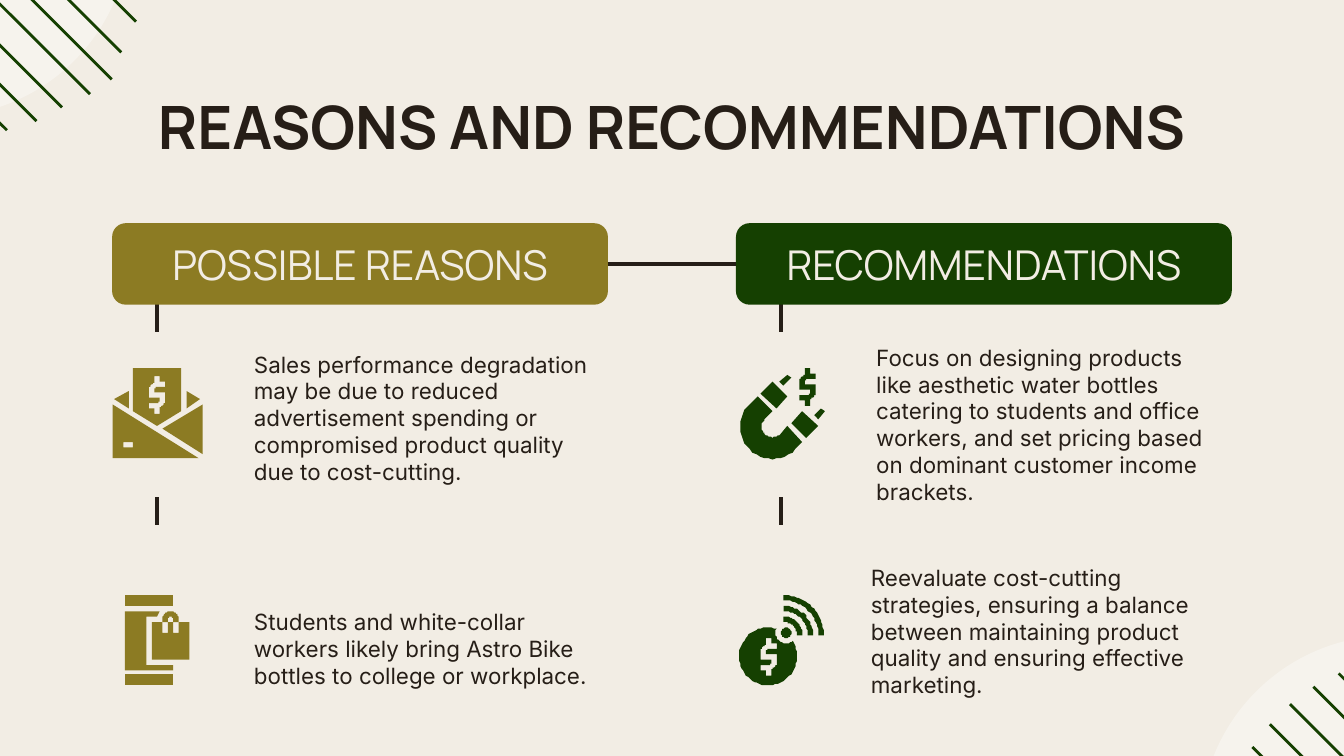
"""Build the "Reasons and recommendations" slide."""
from dataclasses import dataclass
from math import cos, radians, sin

from lxml.etree import SubElement
from pptx import Presentation
from pptx.dml.color import RGBColor
from pptx.enum.shapes import MSO_CONNECTOR, MSO_SHAPE
from pptx.enum.text import MSO_ANCHOR, PP_ALIGN
from pptx.oxml.ns import qn
from pptx.util import Cm, Pt


@dataclass(frozen=True)
class Theme:
    cream: str = "F2EDE4"
    white: str = "FFFFFF"
    ink: str = "261E17"
    olive: str = "8C7B23"
    green: str = "154001"
    heading: str = "Manrope"
    body: str = "Inter"
    title_size: int = 32
    header_size: int = 22
    body_size: int = 12


UNIT = 0.0254


def arc(cx, cy, radius, start, end, steps=24):
    angles = [radians(start + (end - start) * i / steps) for i in range(steps + 1)]
    return [(cx + radius * cos(a), cy + radius * sin(a)) for a in angles]


def rect(x, y, w, h):
    return [(x, y), (x + w, y), (x + w, y + h), (x, y + h)]


def dollar(x, y):
    points = [(8, 0), (4, 0), *arc(5, 10, 5, 260, 180), (0, 16), (8, 16),
              *arc(6, 18, 2, 0, 90), (0, 20), (0, 24), (4, 24), (4, 28), (8, 28),
              *arc(7, 18, 5, 80, 0), (12, 12), (4, 12),
              *arc(6, 10, 2, 180, 270), (12, 8), (12, 4), (8, 4)]
    return [(x + px, y + py) for px, py in points]


def write(tf, text, font, size, color, bold=False, align=PP_ALIGN.LEFT, anchor=MSO_ANCHOR.TOP):
    tf.word_wrap = True
    tf.vertical_anchor = anchor
    tf.margin_left = tf.margin_right = tf.margin_top = tf.margin_bottom = Cm(0.25)
    p = tf.paragraphs[0]
    p.alignment = align
    r = p.add_run()
    r.text = text
    r.font.name, r.font.size, r.font.bold = font, Pt(size), bold
    r.font.color.rgb = RGBColor.from_string(color)


class Deck:
    def __init__(self, theme):
        self.theme = theme
        self.prs = Presentation()
        self.prs.slide_width, self.prs.slide_height = Cm(25.4), Cm(14.29)
        self.s = self.prs.slides.add_slide(self.prs.slide_layouts[6])
        fill = self.s.background.fill
        fill.solid()
        fill.fore_color.rgb = RGBColor.from_string(theme.cream)

    def paint(self, sp, color):
        sp.shadow.inherit = False
        sp.fill.solid()
        sp.fill.fore_color.rgb = RGBColor.from_string(color)
        sp.line.fill.background()
        return sp

    def shape(self, kind, x, y, w, h, color):
        return self.paint(self.s.shapes.add_shape(kind, Cm(x), Cm(y), Cm(w), Cm(h)), color)

    def disc(self, x, y, size, opacity):
        sp = self.shape(MSO_SHAPE.OVAL, x, y, size, size, self.theme.white)
        color = sp.fill._xPr.find(qn("a:solidFill"))[0]
        SubElement(color, qn("a:alpha")).set("val", str(opacity * 1000))

    def line(self, x1, y1, x2, y2, color, width):
        c = self.s.shapes.add_connector(MSO_CONNECTOR.STRAIGHT, Cm(x1), Cm(y1), Cm(x2), Cm(y2))
        c.line.color.rgb = RGBColor.from_string(color)
        c.line.width = Pt(width)
        SubElement(c._element.spPr, qn("a:effectLst"))
        return c

    def stripes(self, starts, length):
        for x, y in starts:
            self.line(x, y, x + length, y + length, self.theme.green, 1.5)

    def text(self, x, y, w, h, text, **style):
        sp = self.s.shapes.add_textbox(Cm(x), Cm(y), Cm(w), Cm(h))
        write(sp.text_frame, text, **style)

    def header(self, x, text, color):
        t = self.theme
        sp = self.shape(MSO_SHAPE.ROUNDED_RECTANGLE, x, 4.22, 9.37, 1.54, color)
        write(sp.text_frame, text, t.heading, t.header_size, t.cream,
              align=PP_ALIGN.CENTER, anchor=MSO_ANCHOR.MIDDLE)
        return sp

    def icon(self, x, y, color, parts):
        for contours in parts:
            builder = self.s.shapes.build_freeform(*contours[0][0], scale=Cm(UNIT))
            builder.add_line_segments(contours[0][1:], close=True)
            for points in contours[1:]:
                builder.move_to(*points[0])
                builder.add_line_segments(points[1:], close=True)
            self.paint(builder.convert_to_shape(Cm(x), Cm(y)), color)


ENVELOPE = [
    [[(67, 27), (37, 45), (67, 64)]],
    [[(55, 17), (55, 30), (65, 23)]],
    [[(12, 17), (1, 23), (12, 30)]],
    [[(0, 27), (0, 67), (64, 67)], rect(8, 55, 7, 4)],
    [[(15, 0), (15, 32), (33, 43), (51, 32), (51, 0)], dollar(27, 6)],
]
PHONE_BAG = [
    [[(20, 20), (20, 48), (48, 48), (48, 20), (40, 20), (40, 28), (36, 28), (36, 20),
      (32, 20), (32, 28), (28, 28), (28, 20)]],
    [[*arc(34, 18, 6, 180, 360), (40, 20), (36, 20), *arc(34, 18, 2, 360, 180),
      (32, 20), (28, 20)]],
    [rect(0, 59, 36, 8)],
    [[(0, 12), (0, 56), (36, 56), (36, 52), (16, 52), (16, 16), (24, 16), (26, 12)]],
    [rect(0, 0, 36, 8)],
]
MAGNET = [
    [dollar(46, 0)],
    [[(48, 32), (40, 41), (51, 52), (60, 43)]],
    [[(26, 10), (17, 19), (29, 30), (37, 21)]],
    [[(15, 21), *arc(26, 43.5, 24, 225, 45), (48, 55), (37, 43),
      *arc(26, 43.5, 8, 45, 225), (26, 32)]],
    [[(37, 5), (31, 10), (34, 13), (40, 7)]],
    [[(62, 30), (57, 35), (60, 38), (65, 32)]],
]
COIN_SIGNAL = [
    *[[arc(33, 30, r, -90, 0) + arc(33, 30, r - 4, 0, -90)] for r in (30, 22, 14)],
    [arc(35, 28, 4, 0, 360)],
    [arc(21.5, 45.5, 21.5, -32, 288, 60) + arc(35, 28, 8, 203, 50), dollar(16, 32)],
]


def main():
    t = Theme()
    deck = Deck(t)
    deck.disc(22.68, 12.01, 7.24, 36)
    deck.stripes([(23.67, 14.12), (24, 13.69), (24.38, 13.31), (24.82, 12.98),
                  (25.3, 12.73)], 4.9)
    deck.disc(-4.78, -5.03, 7.24, 36)
    deck.stripes([(0.13, 2.46), (0.69, 2.29), (1.17, 2.03), (1.7, 1.78), (2.11, 1.5),
                  (2.29, 0.99), (2.57, 0.41)], -4.9)
    deck.text(1.98, 1.45, 21.44, 1.96, "REASONS AND RECOMMENDATIONS", font=t.heading,
              size=t.title_size, color=t.ink, bold=True, align=PP_ALIGN.CENTER)
    for x, y, text in (
        (4.55, 6.38, "Sales performance degradation may be due to reduced advertisement "
                     "spending or compromised product quality due to cost-cutting."),
        (4.55, 11.25, "Students and white-collar workers likely bring Astro Bike bottles "
                      "to college or workplace."),
        (16.31, 6.25, "Focus on designing products like aesthetic water bottles catering to "
                      "students and office workers, and set pricing based on dominant "
                      "customer income brackets."),
        (16.21, 10.41, "Reevaluate cost-cutting strategies, ensuring a balance between "
                       "maintaining product quality and ensuring effective marketing."),
    ):
        deck.text(x, y, 6.93, 1.55, text, font=t.body, size=t.body_size, color=t.ink)
    for x in (2.97, 14.76):
        for y in (5.75, 9.4):
            deck.line(x, y, x, y + 0.52, t.ink, 2.25)
    for x, y, color, parts in ((13.94, 6.96, t.green, MAGNET),
                               (2.36, 11.25, t.olive, PHONE_BAG),
                               (2.13, 6.96, t.olive, ENVELOPE),
                               (13.97, 11.25, t.green, COIN_SIGNAL)):
        deck.icon(x, y, color, parts)
    reasons = deck.header(2.12, "POSSIBLE REASONS", t.olive)
    advice = deck.header(13.91, "RECOMMENDATIONS", t.green)
    link = deck.line(11.49, 4.99, 13.91, 4.99, t.ink, 2.25)
    link.begin_connect(reasons, 3)
    link.end_connect(advice, 1)
    deck.prs.save("out.pptx")


if __name__ == "__main__":
    main()
